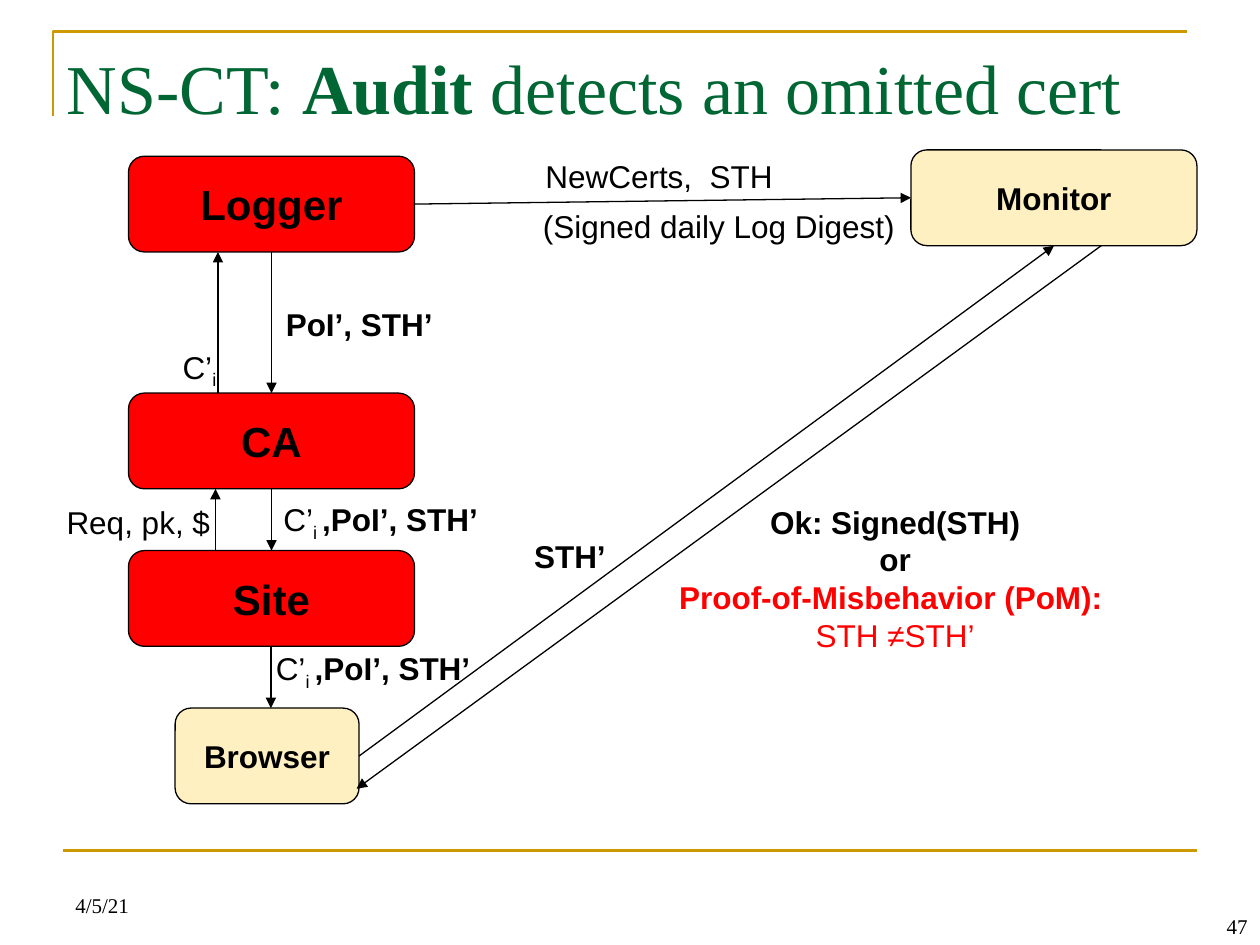
from lxml.etree import SubElement
from pptx import Presentation
from pptx.dml.color import RGBColor
from pptx.enum.shapes import MSO_CONNECTOR, MSO_SHAPE
from pptx.enum.text import MSO_ANCHOR, PP_ALIGN
from pptx.oxml.ns import qn
from pptx.util import Inches, Pt

BLACK = RGBColor(0x00, 0x00, 0x00)
RED = RGBColor(0xFF, 0x00, 0x00)
CREAM = RGBColor(0xFF, 0xF0, 0xC2)
GOLD = RGBColor(0xCC, 0x99, 0x00)
GREEN = RGBColor(0x00, 0x66, 0x33)
SERIF, SANS = "Times New Roman", "Arial"
TOP, LEFT, BOTTOM, RIGHT = range(4)
BOX_HEIGHT = 0.76

# Content: a run is (text, style), and a style may hold bold, sub and color
BOLD, PLAIN, SUB = {"bold": True}, {}, {"sub": True}
TITLE = [("NS-CT: ", PLAIN), ("Audit", BOLD), (" detects an omitted cert", PLAIN)]
CERTIFICATE = [("C’", PLAIN), ("i ", SUB), (",PoI’, STH’", BOLD)]
VERDICT = [
    [("Ok: Signed(STH)", BOLD)],
    [("or", BOLD)],
    [("Proof-of-Misbehavior (PoM): ", {"bold": True, "color": RED}),
     ("\n", PLAIN),
     ("STH ≠STH’", {"color": RED})],
]

# name: (left, top, width, fill, text size)
PARTIES = {
    "Logger": (1.02, 1.24, 2.27, RED, 24),
    "CA": (1.02, 3.12, 2.27, RED, 24),
    "Site": (1.02, 4.37, 2.27, RED, 24),
    "Browser": (1.39, 5.62, 1.46, CREAM, 18),
    "Monitor": (7.23, 1.19, 2.27, CREAM, 18),
}

# (from party, side, to party, side)
JOINED_ARROWS = [
    ("Logger", BOTTOM, "CA", TOP),
    ("CA", BOTTOM, "Site", TOP),
    ("Logger", RIGHT, "Monitor", LEFT),
    ("Browser", RIGHT, "Monitor", BOTTOM),
]
FREE_ARROWS = [
    ((2.15, 5.13), (2.15, 5.62)),
    ((8.74, 1.95), (2.83, 6.26)),
    ((1.73, 3.12), (1.73, 2.0)),
    ((1.71, 4.37), (1.71, 3.88)),
]

# (left, top, width, height, paragraphs, alignment)
LABELS = [
    (2.17, 2.37, 1.37, 0.4, [[("PoI’, STH’", BOLD)]], PP_ALIGN.LEFT),
    (2.15, 3.92, 1.82, 0.4, [CERTIFICATE], PP_ALIGN.LEFT),
    (2.09, 5.1, 1.78, 0.4, [CERTIFICATE], PP_ALIGN.LEFT),
    (4.14, 4.21, 0.78, 0.4, [[("STH’", BOLD)]], PP_ALIGN.LEFT),
    (4.23, 1.2, 2.08, 0.4, [[("NewCerts,  STH", PLAIN)]], PP_ALIGN.LEFT),
    (4.21, 1.59, 3.02, 0.4, [[("(Signed daily Log Digest)", PLAIN)]], PP_ALIGN.LEFT),
    (1.35, 2.71, 0.48, 0.4, [[("C’", PLAIN), ("i", SUB)]], PP_ALIGN.LEFT),
    (0.43, 3.94, 1.66, 0.4, [[("Req, pk, $", PLAIN)]], PP_ALIGN.LEFT),
    (5.27, 3.94, 3.67, 1.31, VERDICT, PP_ALIGN.CENTER),
]

# (left, top, text, alignment)
FOOTERS = [
    (0.5, 6.83, "4/5/21", PP_ALIGN.LEFT),
    (7.67, 7.0, "47", PP_ALIGN.RIGHT),
]


def write(text_frame, paragraphs, size, font=SANS, color=BLACK, align=PP_ALIGN.LEFT):
    for index, runs in enumerate(paragraphs):
        paragraph = text_frame.add_paragraph() if index else text_frame.paragraphs[0]
        paragraph.alignment = align
        for text, style in runs:
            if text == "\n":
                paragraph.add_line_break()
                continue
            run = paragraph.add_run()
            run.text = text
            run.font.name = font
            run.font.size = Pt(size)
            run.font.bold = style.get("bold", False)
            run.font.color.rgb = style.get("color", color)
            if style.get("sub"):
                run._r.get_or_add_rPr().set("baseline", "-25000")


def add_text(slide, left, top, width, height, paragraphs, size, wrap=False,
             anchor=MSO_ANCHOR.TOP, **style):
    box = slide.shapes.add_textbox(Inches(left), Inches(top), Inches(width), Inches(height))
    box.text_frame.word_wrap = wrap
    box.text_frame.vertical_anchor = anchor
    write(box.text_frame, paragraphs, size, **style)


def add_party(slide, name, left, top, width, fill, size):
    box = slide.shapes.add_shape(MSO_SHAPE.ROUNDED_RECTANGLE, Inches(left), Inches(top),
                                 Inches(width), Inches(BOX_HEIGHT))
    box.shadow.inherit = False
    box.fill.solid()
    box.fill.fore_color.rgb = fill
    box.line.color.rgb = BLACK
    box.line.width = Pt(0.75)
    box.text_frame.vertical_anchor = MSO_ANCHOR.MIDDLE
    write(box.text_frame, [[(name, BOLD)]], size, align=PP_ALIGN.CENTER)
    return box


def side_middle(name, side):
    left, top, width = PARTIES[name][:3]
    across = {LEFT: 0, RIGHT: 1}.get(side, 0.5)
    down = {TOP: 0, BOTTOM: 1}.get(side, 0.5)
    return left + width * across, top + BOX_HEIGHT * down


def add_line(slide, start, end, color=BLACK, width=0.75, arrow=True):
    line = slide.shapes.add_connector(MSO_CONNECTOR.STRAIGHT,
                                      *(Inches(value) for value in (*start, *end)))
    line.line.color.rgb = color
    line.line.width = Pt(width)
    if arrow:
        SubElement(line.line._get_or_add_ln(), qn("a:tailEnd"), type="triangle")
    SubElement(line._element.spPr, qn("a:effectLst"))
    return line


def main():
    presentation = Presentation()
    presentation.slide_width = Inches(10)
    presentation.slide_height = Inches(7.5)
    slide = presentation.slides.add_slide(presentation.slide_layouts[5])

    # Gold frame: corner above the title, rule above the footer
    builder = slide.shapes.build_freeform(Inches(0.42), Inches(0.92))
    builder.add_line_segments([(Inches(0.42), Inches(0.25)), (Inches(9.42), Inches(0.25))],
                              close=False)
    corner = builder.convert_to_shape()
    corner.shadow.inherit = False
    corner.fill.background()
    corner.line.color.rgb = GOLD
    corner.line.width = Pt(1.5)
    add_line(slide, (0.5, 6.75), (9.5, 6.75), GOLD, 1.5, arrow=False)

    # Title, raised a little by a deeper bottom margin
    title = slide.shapes.title
    title.left, title.top = Inches(0.43), Inches(0.3)
    title.width, title.height = Inches(9.07), Inches(0.85)
    title.text_frame.vertical_anchor = MSO_ANCHOR.MIDDLE
    title.text_frame.margin_bottom = Inches(0.13)
    write(title.text_frame, [TITLE], 40, SERIF, GREEN)

    # Parties and the messages between them
    boxes = {name: add_party(slide, name, *place) for name, place in PARTIES.items()}
    for source, source_side, target, target_side in JOINED_ARROWS:
        arrow = add_line(slide, side_middle(source, source_side),
                         side_middle(target, target_side))
        arrow.begin_connect(boxes[source], source_side)
        arrow.end_connect(boxes[target], target_side)
    for start, end in FREE_ARROWS:
        add_line(slide, start, end)
    for left, top, width, height, paragraphs, align in LABELS:
        add_text(slide, left, top, width, height, paragraphs, 18, align=align)

    # Date and slide number
    for left, top, text, align in FOOTERS:
        add_text(slide, left, top, 2.33, 0.5, [[(text, PLAIN)]], 12, wrap=True,
                 anchor=MSO_ANCHOR.BOTTOM, font=SERIF, align=align)

    presentation.save("out.pptx")


if __name__ == "__main__":
    main()
